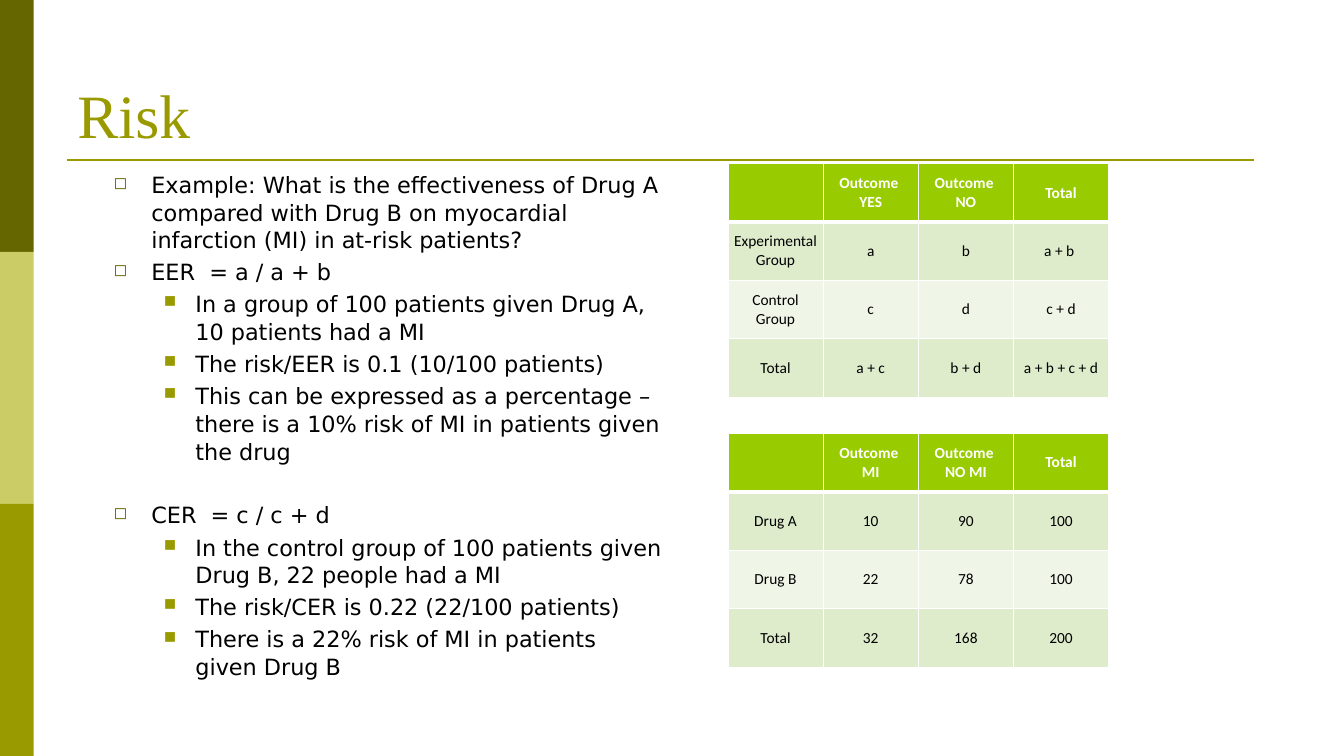
import pptx
import pptx.util
import pptx.dml.color
import pptx.enum.shapes
import pptx.enum.text
import pptx.oxml
import pptx.oxml.ns
from lxml import etree

Pt = pptx.util.Pt
RGBColor = pptx.dml.color.RGBColor
ANCHOR = pptx.enum.text.MSO_ANCHOR

DARK_OLIVE = RGBColor(0x66, 0x66, 0x00)
PALE_OLIVE = RGBColor(0xCC, 0xCC, 0x66)
OLIVE = RGBColor(0x99, 0x99, 0x00)
LIME = RGBColor(0x99, 0xCC, 0x00)
GREEN_TINT = RGBColor(0xDE, 0xEC, 0xCC)
LIGHT_TINT = RGBColor(0xEF, 0xF6, 0xE7)
WHITE = RGBColor(0xFF, 0xFF, 0xFF)
BLACK = RGBColor(0x00, 0x00, 0x00)

# Bullet level: (character, colour, left indent, hanging indent)
BULLETS = [("◻", DARK_OLIVE, 27, 27), ("■", OLIVE, 58.5, 22.5)]
LINE_GAP = 3.2
SECTION_GAP = 25.7

# Each point: (level, space before, text)
POINTS = [
    (0, 0, "Example: What is the effectiveness of Drug A compared with Drug B "
           "on myocardial infarction (MI) in at-risk patients?"),
    (0, LINE_GAP, "EER  = a / a + b"),
    (1, LINE_GAP, "In a group of 100 patients given Drug A, 10 patients had a MI"),
    (1, LINE_GAP, "The risk/EER is 0.1 (10/100 patients)"),
    (1, LINE_GAP, "This can be expressed as a percentage – there is a 10% risk "
                  "of MI in patients given the drug"),
    (0, SECTION_GAP, "CER  = c / c + d"),
    (1, LINE_GAP, "In the control group of 100 patients given Drug B, 22 people had a MI"),
    (1, LINE_GAP, "The risk/CER is 0.22 (22/100 patients)"),
    (1, LINE_GAP, "There is a 22% risk of MI in patients given Drug B"),
]

FORMULA_ROWS = [
    ["", "Outcome \nYES", "Outcome \nNO", "Total"],
    ["Experimental Group", "a", "b", "a + b "],
    ["Control Group", "c", "d", "c + d"],
    ["Total", "a + c", "b + d", "a + b + c + d"],
]
COUNT_ROWS = [
    ["", "Outcome \nMI", "Outcome \nNO MI", "Total"],
    ["Drug A", "10", "90", "100"],
    ["Drug B", "22", "78", "100"],
    ["Total", "32", "168", "200"],
]


def set_font(font, name, size, color, bold=False):
    font.name = name
    font.size = Pt(size)
    font.color.rgb = color
    font.bold = bold


def add_side_bands(page, left, top, width, height):
    colors = [DARK_OLIVE, PALE_OLIVE, OLIVE]
    band_height = height / len(colors)
    for index, color in enumerate(colors):
        band = page.shapes.add_shape(
            pptx.enum.shapes.MSO_SHAPE.RECTANGLE,
            Pt(left), Pt(top + index * band_height), Pt(width), Pt(band_height))
        band.shadow.inherit = False
        band.fill.solid()
        band.fill.fore_color.rgb = color
        band.line.fill.background()


def add_heading(page, left, top, width, height):
    """Fill the title placeholder and draw the rule beneath it."""
    title = page.shapes.title
    title.left, title.top = Pt(left), Pt(top)
    title.width, title.height = Pt(width), Pt(height)
    title.text_frame.text = "Risk"
    title.text_frame.vertical_anchor = ANCHOR.BOTTOM
    para = title.text_frame.paragraphs[0]
    para.alignment = pptx.enum.text.PP_ALIGN.LEFT
    set_font(para.runs[0].font, "Times New Roman", 44, OLIVE)

    rule_top = Pt(top + height + 2.4)
    rule = page.shapes.add_connector(
        pptx.enum.shapes.MSO_CONNECTOR.STRAIGHT,
        Pt(left), rule_top, Pt(left + width - 16), rule_top)
    rule.line.color.rgb = OLIVE
    rule.line.width = Pt(1.5)
    etree.SubElement(rule._element.spPr, pptx.oxml.ns.qn("a:effectLst"))


def add_bullet(para, level):
    character, color, indent, hanging = BULLETS[level]
    properties = para._p.get_or_add_pPr()
    properties.set("marL", str(Pt(indent)))
    properties.set("indent", str(-Pt(hanging)))
    bullet_color = etree.SubElement(properties, pptx.oxml.ns.qn("a:buClr"))
    etree.SubElement(bullet_color, pptx.oxml.ns.qn("a:srgbClr"), val=str(color))
    etree.SubElement(properties, pptx.oxml.ns.qn("a:buSzPct"), val="75000")
    etree.SubElement(properties, pptx.oxml.ns.qn("a:buChar"), char=character)


def add_points(page, left, top, width, height):
    box = page.shapes.add_textbox(Pt(left), Pt(top), Pt(width), Pt(height))
    frame = box.text_frame
    frame.word_wrap = True
    frame.text = "\n".join(text for _, _, text in POINTS)
    for para, (level, gap, _) in zip(frame.paragraphs, POINTS):
        para.level = level
        add_bullet(para, level)
        para.space_before = Pt(gap)
        para.line_spacing = 1.03
        set_font(para.runs[0].font, "DejaVu Sans", 16, BLACK)


def add_border(cell, side, width):
    line = etree.SubElement(cell._tc.get_or_add_tcPr(),
                            pptx.oxml.ns.qn("a:ln" + side), w=str(Pt(width)))
    fill = etree.SubElement(line, pptx.oxml.ns.qn("a:solidFill"))
    etree.SubElement(fill, pptx.oxml.ns.qn("a:srgbClr"), val=str(WHITE))


def format_cell(cell, text, row_index):
    header = row_index == 0
    cell.text_frame.text = text
    cell.vertical_anchor = ANCHOR.MIDDLE
    cell.margin_left = cell.margin_right = Pt(3.6)
    cell.margin_top = cell.margin_bottom = Pt(1.5)
    for para in cell.text_frame.paragraphs:
        para.alignment = pptx.enum.text.PP_ALIGN.CENTER
        for run in para.runs:
            set_font(run.font, "Calibri", 11, WHITE if header else BLACK, header)
    top_width = 3 if row_index == 1 else 1
    bottom_width = 3 if header else 1
    for side, width in zip("LRTB", (1, 1, top_width, bottom_width)):
        add_border(cell, side, width)
    cell.fill.solid()
    cell.fill.fore_color.rgb = (
        LIME if header else GREEN_TINT if row_index % 2 else LIGHT_TINT)


def add_risk_table(page, rows, left, top, width, height):
    table = page.shapes.add_table(
        len(rows), len(rows[0]), Pt(left), Pt(top), Pt(width), Pt(height)).table
    for column in table.columns:
        column.width = Pt(width / len(rows[0]))
    for row_index, texts in enumerate(rows):
        table.rows[row_index].height = Pt(height / len(rows))
        for column_index, text in enumerate(texts):
            format_cell(table.cell(row_index, column_index), text, row_index)


def main():
    deck = pptx.Presentation()
    deck.slide_width, deck.slide_height = Pt(960), Pt(540)
    page = deck.slides.add_slide(deck.slide_layouts[5])
    add_side_bands(page, 0, 0, 24, 540)
    add_heading(page, 48, 21.6, 864, 90)
    add_points(page, 74, 118, 406, 356)
    add_risk_table(page, FORMULA_ROWS, 520, 116.8, 272, 167)
    add_risk_table(page, COUNT_ROWS, 520, 309.6, 272, 167)
    deck.save("out.pptx")


if __name__ == "__main__":
    main()
